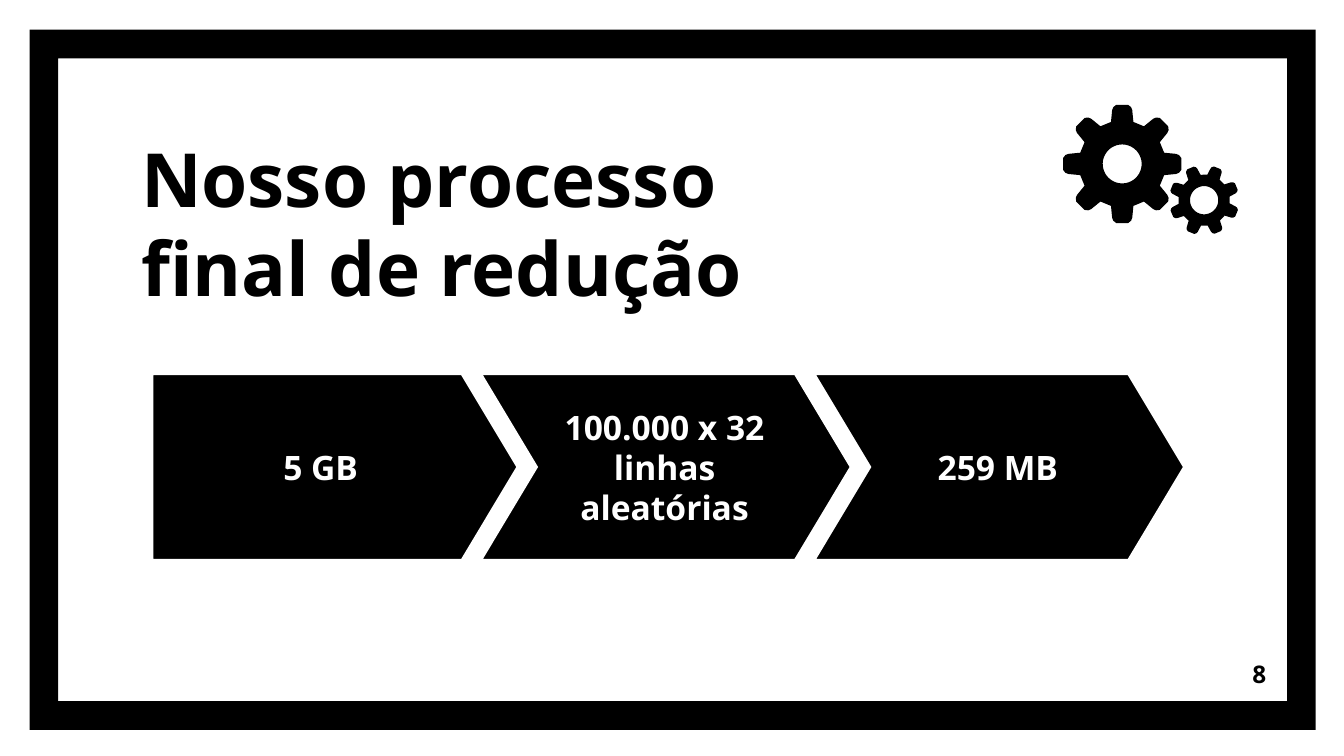
import math
import lxml.etree
import pptx
import pptx.util
import pptx.dml.color
import pptx.enum.shapes
import pptx.enum.text
import pptx.oxml.ns

Inches = pptx.util.Inches
MSO = pptx.enum.shapes.MSO_SHAPE
ALIGN = pptx.enum.text.PP_ALIGN
ANCHOR = pptx.enum.text.MSO_ANCHOR
BLACK, WHITE = "000000", "FFFFFF"


def color(hex_value):
    return pptx.dml.color.RGBColor.from_string(hex_value)


def set_text(sp, text, size=18, fill=BLACK, align=ALIGN.LEFT, anchor=ANCHOR.MIDDLE):
    tf = sp.text_frame
    tf.word_wrap = True
    tf.auto_size = pptx.enum.text.MSO_AUTO_SIZE.NONE
    tf.vertical_anchor = anchor
    tf.margin_left = tf.margin_right = tf.margin_top = tf.margin_bottom = Inches(0.1)
    for i, line in enumerate(text.split("\n")):
        p = tf.add_paragraph() if i else tf.paragraphs[0]
        p.alignment = align
        r = p.add_run()
        r.text = line
        r.font.name = "Open Sans"
        r.font.size = pptx.util.Pt(size)
        r.font.bold = True
        r.font.color.rgb = color(fill)


def paint(sp, line=None, width=0):
    sp.shadow.inherit = False
    sp.fill.solid()
    sp.fill.fore_color.rgb = color(BLACK)
    if line:
        sp.line.color.rgb = color(line)
        sp.line.width = pptx.util.Pt(width)
        ln = sp.line._get_or_add_ln()
        lxml.etree.SubElement(ln, pptx.oxml.ns.qn("a:miter"), lim="800000")
    else:
        sp.line.fill.background()


def add_shape(s, kind, x, y, w, h, adj, **line):
    sp = s.shapes.add_shape(kind, Inches(x), Inches(y), Inches(w), Inches(h))
    sp.adjustments[0] = adj
    paint(sp, **line)
    return sp


def add_title(s, text, x, y, w, h):
    sp = s.shapes.title
    sp.left, sp.top, sp.width, sp.height = map(Inches, (x, y, w, h))
    set_text(sp, text, size=40, anchor=ANCHOR.BOTTOM)


def add_process(s, steps, x, y, h):
    overlap = 0.37
    for i, step in enumerate(steps):
        kind, w = (MSO.CHEVRON, 2.85) if i else (MSO.PENTAGON, 2.79)
        sp = add_shape(s, kind, x, y, w, h, 0.3, line=WHITE, width=6)
        set_text(sp, step, fill=WHITE, align=ALIGN.CENTER)
        x += w - overlap


def add_gear(s, cx, cy, radius, hole, turn=0, teeth=8):
    half = [(-0.19, 0.71), (-0.17, 0.91), (-0.15, 0.96), (-0.1, 1)]
    tooth = half + [(-across, out) for across, out in reversed(half)]

    def place(across, out, angle):
        a = math.radians(angle)
        return (Inches(cx + across * math.cos(a) + out * math.sin(a)),
                Inches(cy + across * math.sin(a) - out * math.cos(a)))

    outline = [place(across * radius, out * radius, turn + 360 / teeth * i)
               for i in range(teeth) for across, out in tooth]
    ring = [place(0, hole, -angle) for angle in range(0, 360, 8)]
    fb = s.shapes.build_freeform(*outline[0])
    fb.add_line_segments(outline[1:], close=True)
    fb.move_to(*ring[0])
    fb.add_line_segments(ring[1:], close=True)
    paint(fb.convert_to_shape())


def add_gears(s, x, y):
    add_gear(s, x + 0.44, y + 0.44, 0.44, 0.145)
    add_gear(s, x + 1.05, y + 0.71, 0.26, 0.105, turn=22)


def add_page_number(s, number, x, y, w, h):
    sp = s.shapes.add_textbox(Inches(x), Inches(y), Inches(w), Inches(h))
    set_text(sp, number, size=13, align=ALIGN.RIGHT)


def main():
    prs = pptx.Presentation()
    prs.slide_width = Inches(10)
    prs.slide_height = prs.slide_width * 9 // 16
    s = prs.slides.add_slide(prs.slide_layouts[5])
    add_shape(s, MSO.FRAME, 0.22, 0.22, 9.57, 5.21, 0.041)
    add_title(s, "Nosso processo final de redução", 0.95, 0.93, 5.57, 1.49)
    add_process(s, ["5 GB", "100.000 x 32\nlinhas aleatórias", "259 MB"], 1.1, 2.75, 1.45)
    add_gears(s, 7.91, 0.78)
    add_page_number(s, "8", 8.92, 4.8, 0.6, 0.43)
    prs.save("out.pptx")


if __name__ == "__main__":
    main()
